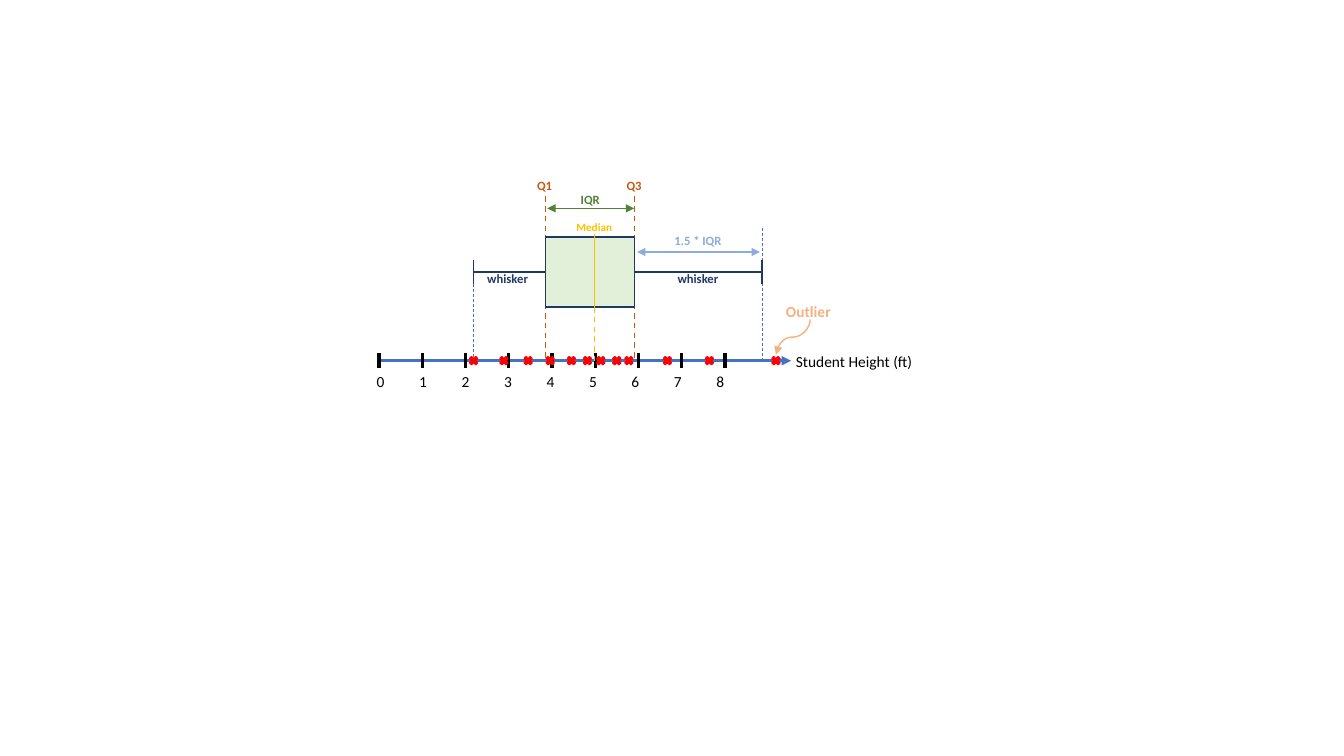
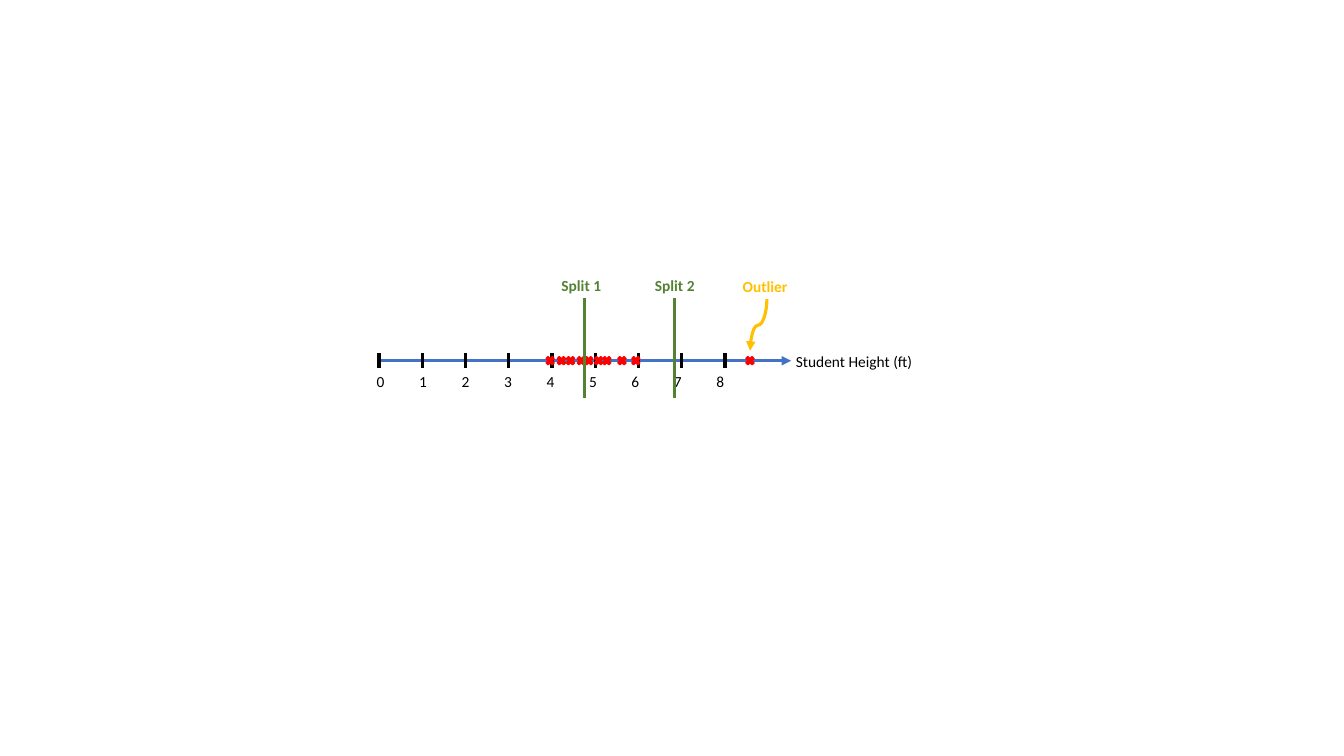
import collections
import lxml.etree
import pptx
import pptx.dml.color
import pptx.enum.dml
import pptx.enum.shapes
import pptx.enum.text
import pptx.oxml.ns
import pptx.util

Cm = pptx.util.Cm
Pt = pptx.util.Pt
SHAPE = pptx.enum.shapes.MSO_SHAPE
LINK = pptx.enum.shapes.MSO_CONNECTOR
ALIGN = pptx.enum.text.PP_ALIGN

FONT = "Calibri"
BLACK, RED, BLUE, NAVY, SKY = "000000", "FF0000", "4472C4", "203864", "8FAADC"
GREEN, MINT, GOLD, RUST, PEACH = "548235", "E2F0D9", "FFC000", "C55A11", "F4B183"
FEET = 10
CROSS = 0.3

Box = collections.namedtuple("Box", "left top wide high")


def color(code):
    """Turn a hex string into a colour."""
    return pptx.dml.color.RGBColor.from_string(code)


def spot(box, feet, rise):
    """Give the point at a height in feet and a rise in cm above the axis."""
    return box.left + feet * box.wide / FEET, box.top + box.high - rise


def child(parent, tag, **attrs):
    """Append a drawing element with its attributes."""
    return lxml.etree.SubElement(parent, pptx.oxml.ns.qn("a:" + tag), **attrs)


def text(slide, box, words, feet, rise, wide=3.53, size=9, tint=BLACK,
         bold=True, center=True, loose=False, tabs=()):
    """Place one line of formatted text."""
    x, y = spot(box, feet, rise)
    area = slide.shapes.add_textbox(Cm(x), Cm(y), Cm(wide), Cm(0.74 if loose else 0.64))
    frame = area.text_frame
    frame.word_wrap = True
    frame.auto_size = pptx.enum.text.MSO_AUTO_SIZE.SHAPE_TO_FIT_TEXT
    line = frame.paragraphs[0]
    line.alignment = ALIGN.CENTER if center else ALIGN.LEFT
    if loose:
        line.line_spacing = 1.07
        line.space_after = Pt(8)
    if tabs:
        stops = child(line._p.get_or_add_pPr(), "tabLst")
        for stop in tabs:
            child(stops, "tab", pos=str(int(Cm(stop))), algn="l")
    run = line.add_run()
    run.text = words
    run.font.name = FONT
    run.font.size = Pt(size)
    run.font.bold = bold
    run.font.color.rgb = color(tint)


def label(slide, box, words, feet, rise, **style):
    """Place a larger, left-aligned label."""
    text(slide, box, words, feet, rise, size=11, center=False, loose=True, **style)


def rule(slide, box, start, end, tint, width=1, dash=False, head=False,
         tail=False, curve=False):
    """Draw a straight or curved line between two points on the scale."""
    (x1, y1), (x2, y2) = spot(box, *start), spot(box, *end)
    if curve:
        midx, midy = (x1 + x2) / 2, (y1 + y2) / 2
        halfx, halfy = (y2 - y1) / 2, (x1 - x2) / 2
        x1, y1, x2, y2 = midx - halfx, midy - halfy, midx + halfx, midy + halfy
    kind = LINK.CURVE if curve else LINK.STRAIGHT
    link = slide.shapes.add_connector(kind, Cm(x1), Cm(y1), Cm(x2), Cm(y2))
    props = link._element.spPr
    if curve:
        props.xfrm.set("rot", "5400000")
    link.line.color.rgb = color(tint)
    link.line.width = Pt(width)
    if dash:
        link.line.dash_style = pptx.enum.dml.MSO_LINE.DASH
    for tag, shown in (("headEnd", head), ("tailEnd", tail)):
        if shown:
            child(link.line._get_or_add_ln(), tag, type="triangle")
    child(props, "effectLst")


def form(slide, kind, x, y, wide, high, fill, edge):
    """Draw a filled shape with a thin edge."""
    item = slide.shapes.add_shape(kind, Cm(x), Cm(y), Cm(wide), Cm(high))
    item.shadow.inherit = False
    item.fill.solid()
    item.fill.fore_color.rgb = color(fill)
    item.line.color.rgb = color(edge)
    item.line.width = Pt(1)


def axis(slide, box):
    """Draw the height scale with ticks, numbers and name."""
    rule(slide, box, (0, 0), (9.53, 0), BLUE, 2.25, tail=True)
    label(slide, box, "\t".join(str(n) for n in range(9)), -0.28, -0.13,
          wide=10.72, bold=False, tabs=[1.07 * n for n in range(1, 9)])
    label(slide, box, "Student Height (ft)", 9.41, 0.38, bold=False)
    for tick in range(9):
        rule(slide, box, (tick, 0.19), (tick, -0.19), BLACK, 2.25)


def marks(slide, box, data):
    """Mark each student height with a cross on the axis."""
    for feet in data:
        x, y = spot(box, feet, 0)
        form(slide, SHAPE.MATH_MULTIPLY, x - CROSS / 2, y - CROSS / 2,
             CROSS, CROSS, RED, RED)


def plot(slide, box, data):
    """Draw the box plot above the axis."""
    low, first, mid, third, high = 2.19, 3.85, 4.99, 5.91, 8.86
    roof, floor, level = 3.12, 1.35, 2.24
    for feet, rise, tint, width in ((low, 1.93, BLUE, 0.5), (high, 3.35, BLUE, 0.5),
                                    (third, 4.14, RUST, 1), (first, 4.14, RUST, 1)):
        rule(slide, box, (feet, rise), (feet, 0), tint, width, dash=True)
    axis(slide, box)
    rule(slide, box, (9.97, 1.04), (9.18, 0.15), PEACH, tail=True, curve=True)
    label(slide, box, "Outlier", 9.18, 1.63, tint=PEACH)
    x, y = spot(box, first, roof)
    form(slide, SHAPE.RECTANGLE, x, y, spot(box, third, roof)[0] - x,
         roof - floor, MINT, NAVY)
    marks(slide, box, data)
    rule(slide, box, (mid, 3.2), (mid, floor), GOLD)
    rule(slide, box, (mid, floor), (mid, 0), GOLD, dash=True)
    for inner, outer in ((first, low), (third, high)):
        rule(slide, box, (outer, level), (inner, level), NAVY)
        rule(slide, box, (outer, level + 0.3), (outer, level - 0.3), NAVY)
    for start, end, rise, tint in ((3.89, 5.9, 3.84, GREEN), (5.97, 8.81, 2.74, SKY)):
        rule(slide, box, (start, rise), (end, rise), tint, head=True, tail=True)
    text(slide, box, "Q1", 2.21, 4.72, tint=RUST)
    text(slide, box, "Q3", 5.27, 4.72, wide=1.37, tint=RUST)
    text(slide, box, "IQR", 3.94, 4.37, wide=2.06, tint=GREEN)
    text(slide, box, "Median", 4.29, 3.66, wide=1.5, size=8, tint=GOLD)
    text(slide, box, "1.5 * IQR", 6.43, 3.35, wide=2.06, tint=SKY)
    for feet in (2.03, 6.43):
        text(slide, box, "whisker", feet, 2.38, wide=2.06, tint=NAVY)


def splits(slide, box, data):
    """Draw the axis cut by two splits, with the outlier apart."""
    axis(slide, box)
    marks(slide, box, data)
    rule(slide, box, (8.97, 1.55), (8.58, 0.25), GOLD, 2.25, tail=True, curve=True)
    label(slide, box, "Outlier", 8.18, 2.27, tint=GOLD)
    for name, cut, left in (("Split 1", 4.75, 3.99), ("Split 2", 6.84, 6.15)):
        rule(slide, box, (cut, 1.57), (cut, -0.95), GREEN, 2.25)
        label(slide, box, name, left, 2.28, tint=GREEN)


def main():
    """Build and save both slides."""
    deck = pptx.Presentation()
    deck.slide_width, deck.slide_height = Cm(33.87), Cm(19.05)
    blank = deck.slide_layouts[6]
    box = Box(9.55, 4.37, 10.9, 4.72)
    plot(deck.slides.add_slide(blank), box,
         (9.18, 5.5, 4.82, 4.45, 5.78, 3.96, 5.13, 7.64, 6.67, 3.45, 2.89, 2.19))
    splits(deck.slides.add_slide(blank), box,
           (8.58, 4.43, 4.85, 5.27, 5.62, 5.94, 5.08, 4.68, 3.96, 4.22))
    deck.save("out.pptx")


main()
